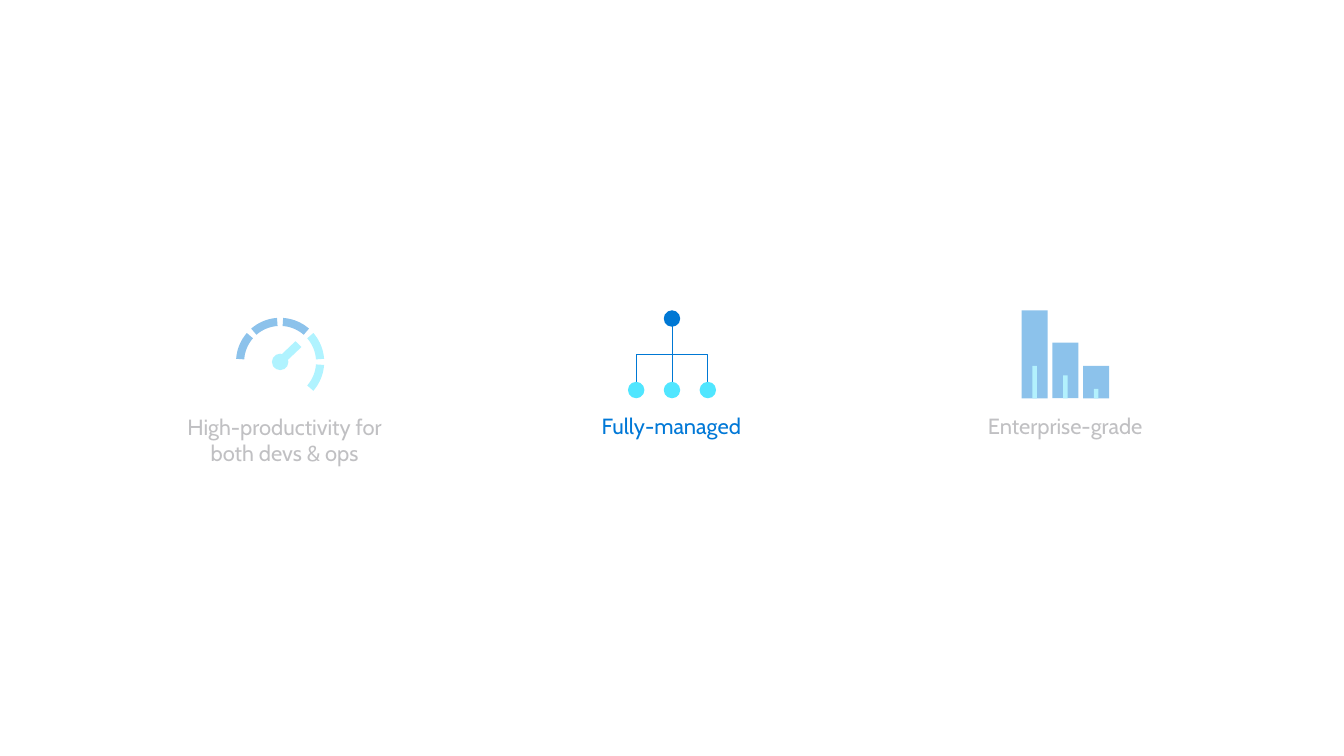
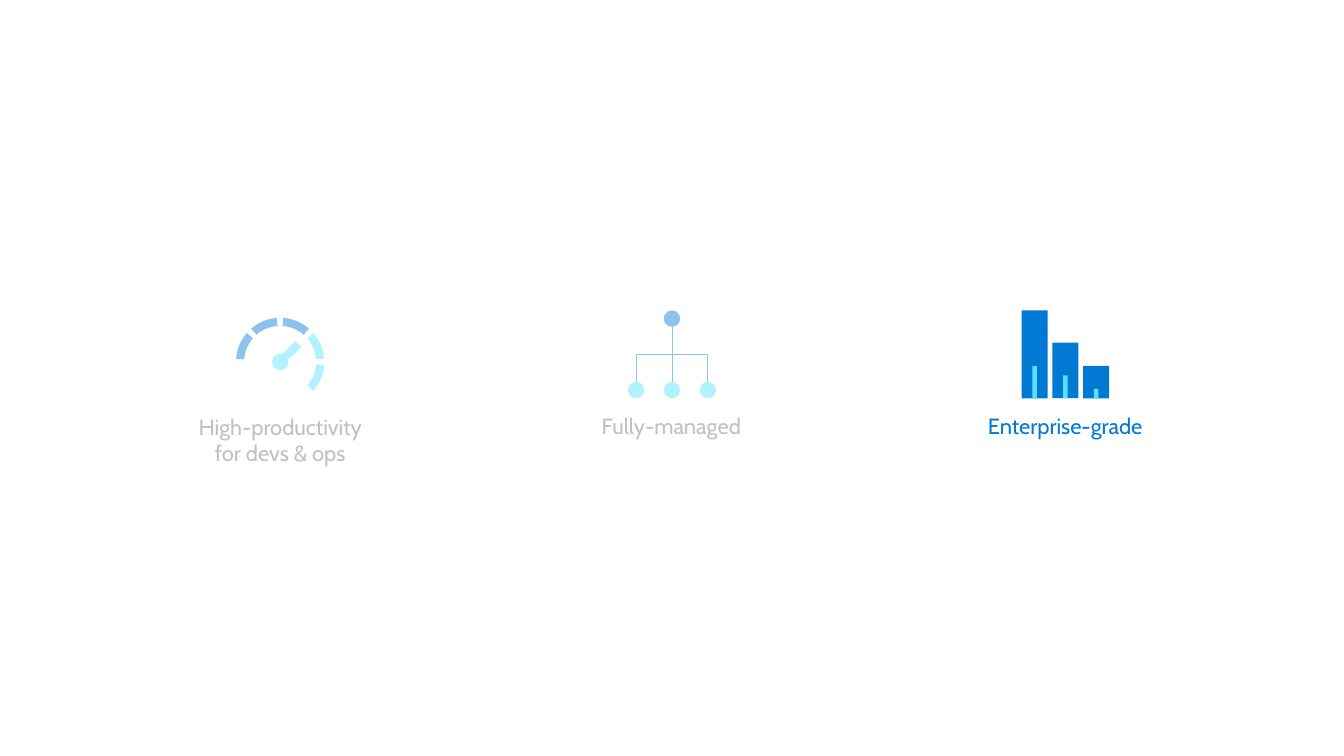
from math import cos, radians, sin

from lxml import etree
from pptx import Presentation
from pptx.dml.color import RGBColor
from pptx.enum.shapes import MSO_CONNECTOR, MSO_SHAPE
from pptx.enum.text import MSO_AUTO_SIZE, PP_ALIGN
from pptx.oxml.ns import qn
from pptx.util import Pt

OVAL, RECT = MSO_SHAPE.OVAL, MSO_SHAPE.RECTANGLE
LINE = MSO_CONNECTOR.STRAIGHT
CENTER = PP_ALIGN.CENTER
GROW = MSO_AUTO_SIZE.SHAPE_TO_FIT_TEXT

COLORS = {
    "blue": "0078D4",
    "cyan": "50E6FF",
    "sky": "58E1FB",
    "live": "0078D7",
    "grey": "75757A",
    "white": "FFFFFF",
}
FONT, SIZE = "Cabin", 16
WIDTH, HEIGHT = 979.2, 550.8
LABEL_TOP = 297.4
BASE = 290.2
DOT = 12
OPACITY = 55

SLIDES = [
    {
        "labels": [
            ("High-productivity for both devs & ops", 128.2, 158.4, 46),
            ("Fully-managed", 403.9, 170.6, 26.6),
            ("Enterprise-grade", 681.8, 188.6, 26.6),
        ],
        "live": 1,
        "veils": [(676.8, 161.3, 198, 239.8), (98.6, 164.9, 198, 239.8)],
    },
    {
        "labels": [
            ("High-productivity for devs & ops", 128.2, 151.9, 46),
            ("Fully-managed", 403.9, 170.6, 26.6),
            ("Enterprise-grade", 681.8, 188.6, 26.6),
        ],
        "live": 2,
        "veils": [(108.7, 160.6, 503.3, 239.8)],
    },
]

BARS = [(64, 23.6), (40.6, 16.6), (23.6, 6.8)]
ARCS = ["cyan", "cyan", "blue", "blue", "blue"]
NEEDLE = [(1, 2.9), (-3.2, -1.4), (11.2, -15.1), (15.5, -10.8)]


def rgb(name):
    return RGBColor.from_string(COLORS[name])


def paint(shape, color):
    shape.shadow.inherit = False
    shape.fill.solid()
    shape.fill.fore_color.rgb = rgb(color)
    shape.line.fill.background()
    return shape


def block(shapes, kind, box, color):
    return paint(shapes.add_shape(kind, *map(Pt, box)), color)


def dot(shapes, x, y, color):
    block(shapes, OVAL, (x - DOT / 2, y - DOT / 2, DOT, DOT), color)


def outline(shapes, points, close=True):
    spots = [(Pt(x), Pt(y)) for x, y in points]
    pen = shapes.build_freeform(*spots[0])
    pen.add_line_segments(spots[1:], close=close)
    return pen.convert_to_shape()


def stroke(shape):
    shape.line.color.rgb = rgb("blue")
    shape.line.width = Pt(0.63)


def draw_bars(shapes):
    left, step, wide, thin = 744.3, 22.4, 19.1, 3.4
    for i, (tall, low) in enumerate(BARS):
        x = left + i * step
        block(shapes, RECT, (x, BASE - tall, wide, tall), "blue")
        inset = (wide - thin) / 2
        block(shapes, RECT, (x + inset, BASE - low, thin, low), "sky")


def draw_tree(shapes):
    mid, step, top, bar, low = 489.6, 26.1, 232.1, 258.1, 284.2
    left, right = mid - step, mid + step
    frame = outline(
        shapes, [(left, low), (left, bar), (right, bar), (right, low)], False
    )
    frame.shadow.inherit = False
    frame.fill.background()
    stroke(frame)
    stem = shapes.add_connector(LINE, Pt(mid), Pt(top), Pt(mid), Pt(low))
    stroke(stem)
    etree.SubElement(stem._element.spPr, qn("a:effectLst"))
    dot(shapes, mid, top, "blue")
    for x in (left, mid, right):
        dot(shapes, x, low, "cyan")


def draw_gauge(shapes):
    x, y, outer, inner = 204.1, 263.7, 32.1, 26.2
    first, step, sweep, parts = -41, 45, 37, 12

    def spot(radius, angle):
        turn = radians(angle)
        return x + radius * cos(turn), y - radius * sin(turn)

    for i, color in enumerate(ARCS):
        start = first + i * step
        turns = [start + sweep * n / parts for n in range(parts + 1)]
        rim = [spot(outer, a) for a in turns]
        rim += [spot(inner, a) for a in reversed(turns)]
        paint(outline(shapes, rim), color)
    paint(outline(shapes, [(x + dx, y + dy) for dx, dy in NEEDLE]), "cyan")
    dot(shapes, x, y, "cyan")


def add_label(shapes, text, left, width, height, color):
    box = shapes.add_textbox(Pt(left), Pt(LABEL_TOP), Pt(width), Pt(height))
    frame = box.text_frame
    frame.word_wrap = True
    frame.auto_size = GROW
    frame.text = text
    para = frame.paragraphs[0]
    para.alignment = CENTER
    font = para.runs[0].font
    font.name, font.size = FONT, Pt(SIZE)
    font.color.rgb = rgb(color)


def add_veil(shapes, box):
    veil = block(shapes, RECT, box, "white")
    tint = veil._element.spPr.find(qn("a:solidFill"))[0]
    etree.SubElement(tint, qn("a:alpha"), val=str(OPACITY * 1000))


def build(deck, data):
    shapes = deck.slides.add_slide(deck.slide_layouts[6]).shapes
    for draw in (draw_bars, draw_tree, draw_gauge):
        draw(shapes.add_group_shape().shapes)
    for i, label in enumerate(data["labels"]):
        add_label(shapes, *label, "live" if i == data["live"] else "grey")
    for box in data["veils"]:
        add_veil(shapes, box)


def main():
    deck = Presentation()
    deck.slide_width, deck.slide_height = Pt(WIDTH), Pt(HEIGHT)
    for data in SLIDES:
        build(deck, data)
    deck.save("out.pptx")


if __name__ == "__main__":
    main()
